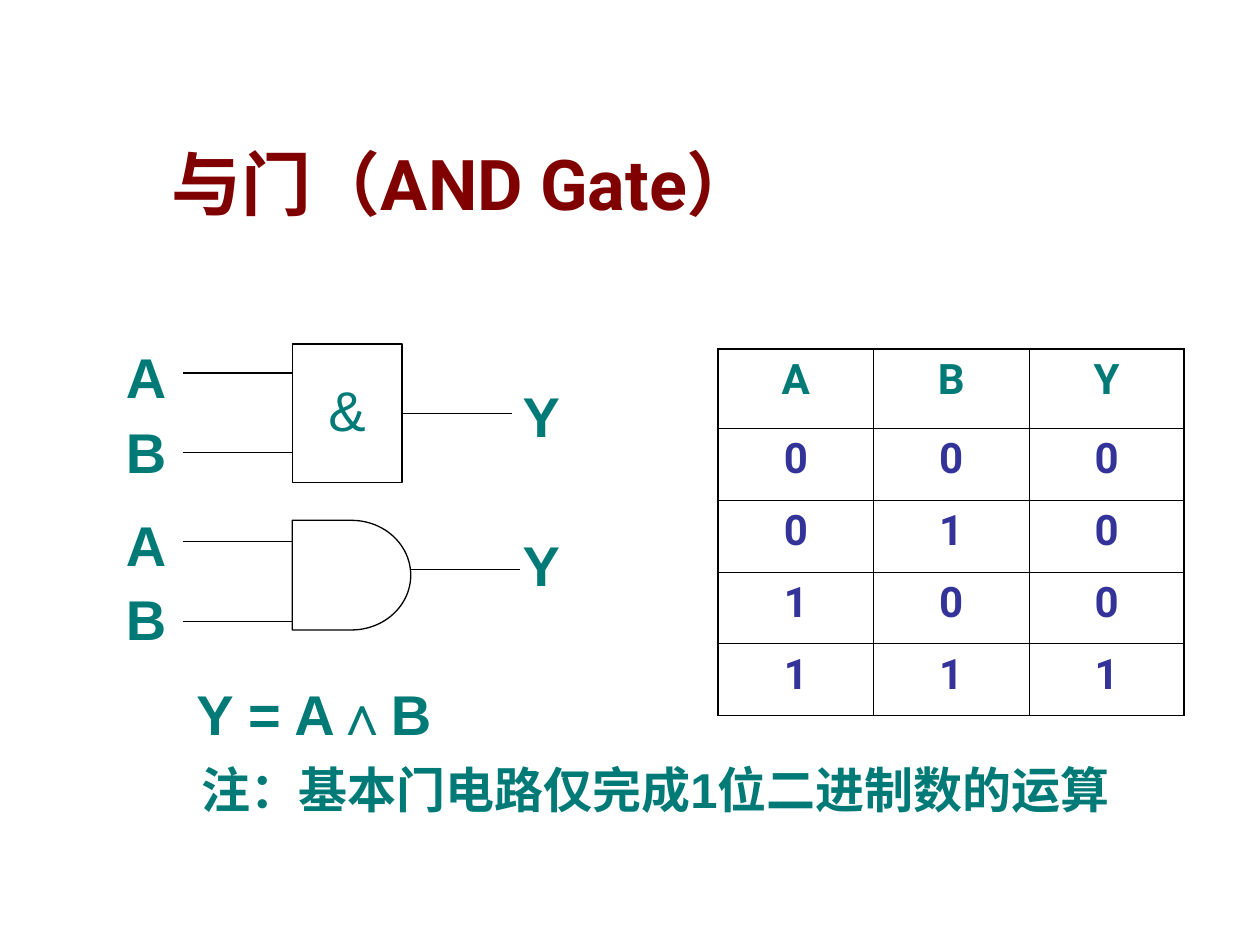
from dataclasses import dataclass

from lxml import etree
from pptx import Presentation
from pptx.dml.color import RGBColor
from pptx.enum.shapes import MSO_CONNECTOR, MSO_SHAPE
from pptx.enum.text import MSO_ANCHOR, PP_ALIGN
from pptx.oxml.ns import qn
from pptx.util import Emu, Inches, Pt

STRAIGHT = MSO_CONNECTOR.STRAIGHT
RECTANGLE, DELAY = MSO_SHAPE.RECTANGLE, MSO_SHAPE.FLOWCHART_DELAY
TOP, MIDDLE, BOTTOM = MSO_ANCHOR.TOP, MSO_ANCHOR.MIDDLE, MSO_ANCHOR.BOTTOM
LEFT, CENTER = PP_ALIGN.LEFT, PP_ALIGN.CENTER

WIDTH, HEIGHT = Inches(10), Inches(7.5)
COLUMNS, ROWS = 100, 75
COLORS = {"title": "800000", "label": "007A77", "value": "333399", "line": "000000"}
LINE_WIDTH = Pt(0.75)
THIN, THICK = Pt(0.45), Pt(1.08)

TRUTH_TABLE = ["ABY", "000", "010", "100", "111"]
TABLE_BOX = (57, 27.7, 37, 29.1)
HEADER_ROWS, VALUE_ROWS = 6.3, 5.7


@dataclass
class Label:
    lines: list[str]
    box: tuple[float, float, float, float]
    size: float = 32
    font: str = "Arial"
    color: str = "label"
    spacing: float = 0.9
    bold: bool = True
    align: PP_ALIGN = LEFT
    anchor: MSO_ANCHOR = TOP
    wrap: bool = True


@dataclass
class Gate:
    outline: MSO_SHAPE
    symbol: str
    box: tuple[float, float, float, float]
    input_rows: tuple[float, float]
    output_row: float
    input_label_row: float
    output_label_row: float


LABELS = [
    Label(["与门（AND Gate）"], (12.6, 2.3, 85.2, 16), 40, "Roboto", "title", 1,
          anchor=BOTTOM),
    Label(["Y = A∧B"], (14.6, 54, 22, 5.8)),
    Label(["注：基本门电路仅完成1位二进制数的运算"], (8.3, 60.3, 87.4, 5.2), 28,
          align=CENTER),
]
GATES = [
    Gate(RECTANGLE, "&", (23.2, 27.3, 8.7, 11), (29.6, 35.9), 32.8, 27.3, 30.4),
    Gate(DELAY, "", (23.2, 41.3, 9.4, 8.7), (43, 49.3), 45.2, 40.6, 42.2),
]
WIRE_COLUMNS = 8.7


def across(columns: float) -> Emu:
    return Emu(round(WIDTH * columns / COLUMNS))


def down(rows: float) -> Emu:
    return Emu(round(HEIGHT * rows / ROWS))


def place(box: tuple[float, float, float, float]) -> tuple[Emu, ...]:
    left, top, width, height = box
    return across(left), down(top), across(width), down(height)


def color(name: str) -> RGBColor:
    return RGBColor.from_string(COLORS[name])


def write(text_frame, label: Label) -> None:
    text_frame.word_wrap = label.wrap
    text_frame.vertical_anchor = label.anchor
    for index, line in enumerate(label.lines):
        paragraph = text_frame.add_paragraph() if index else text_frame.paragraphs[0]
        paragraph.text = line
        paragraph.alignment = label.align
        paragraph.line_spacing = label.spacing
        if index:
            paragraph.space_before = Pt(8)
        style(paragraph.font, label.size, label.font, label.color, label.bold)


def style(font, size: float, name: str, color_name: str, bold: bool) -> None:
    font.size = Pt(size)
    font.name = name
    font.bold = bold
    font.color.rgb = color(color_name)


def draw_label(slide, label: Label) -> None:
    write(slide.shapes.add_textbox(*place(label.box)).text_frame, label)


def draw_wire(slide, left: float, row: float) -> None:
    wire = slide.shapes.add_connector(
        STRAIGHT, across(left), down(row), across(left + WIRE_COLUMNS), down(row))
    wire.line.color.rgb = color("line")
    wire.line.width = LINE_WIDTH
    etree.SubElement(wire._element.spPr, qn("a:effectLst"))


def draw_gate(slide, gate: Gate) -> None:
    left, _, width, _ = gate.box
    shape = slide.shapes.add_shape(gate.outline, *place(gate.box))
    shape.shadow.inherit = False
    shape.fill.background()
    shape.line.color.rgb = color("line")
    shape.line.width = LINE_WIDTH
    if gate.symbol:
        write(shape.text_frame, Label([gate.symbol], gate.box, bold=False,
                                      align=CENTER, anchor=MIDDLE, wrap=False))
    for row in gate.input_rows:
        draw_wire(slide, left - WIRE_COLUMNS, row)
    draw_wire(slide, left + width, gate.output_row)
    draw_label(slide, Label(["A", "B"], (9, gate.input_label_row, 5.5, 11.7)))
    draw_label(slide, Label(["Y"], (40.5, gate.output_label_row, 5.5, 5.8)))


def draw_borders(cell, outer_sides: dict[str, bool]) -> None:
    properties = cell._tc.get_or_add_tcPr()
    for position, (side, is_outer) in enumerate(outer_sides.items()):
        border = etree.Element(qn(f"a:{side}"), w=str(THICK if is_outer else THIN))
        fill = etree.SubElement(border, qn("a:solidFill"))
        etree.SubElement(fill, qn("a:srgbClr"), val=COLORS["line"])
        properties.insert(position, border)


def draw_truth_table(slide) -> None:
    row_count, column_count = len(TRUTH_TABLE), len(TRUTH_TABLE[0])
    table = slide.shapes.add_table(row_count, column_count, *place(TABLE_BOX)).table
    for column in table.columns:
        column.width = across(TABLE_BOX[2] / column_count)
    for row_index, values in enumerate(TRUTH_TABLE):
        is_header = row_index == 0
        table.rows[row_index].height = down(HEADER_ROWS if is_header else VALUE_ROWS)
        for column_index, value in enumerate(values):
            cell = table.cell(row_index, column_index)
            cell.fill.background()
            draw_borders(cell, {
                "lnL": column_index == 0,
                "lnR": column_index == column_count - 1,
                "lnT": is_header,
                "lnB": row_index == row_count - 1,
            })
            paragraph = cell.text_frame.paragraphs[0]
            paragraph.text = value
            paragraph.alignment = CENTER
            style(paragraph.font, 24, "Roboto", "label" if is_header else "value", True)


def main() -> None:
    presentation = Presentation()
    presentation.slide_width, presentation.slide_height = WIDTH, HEIGHT
    slide = presentation.slides.add_slide(presentation.slide_layouts[6])
    draw_truth_table(slide)
    for gate in GATES:
        draw_gate(slide, gate)
    for label in LABELS:
        draw_label(slide, label)
    presentation.save("out.pptx")


if __name__ == "__main__":
    main()
